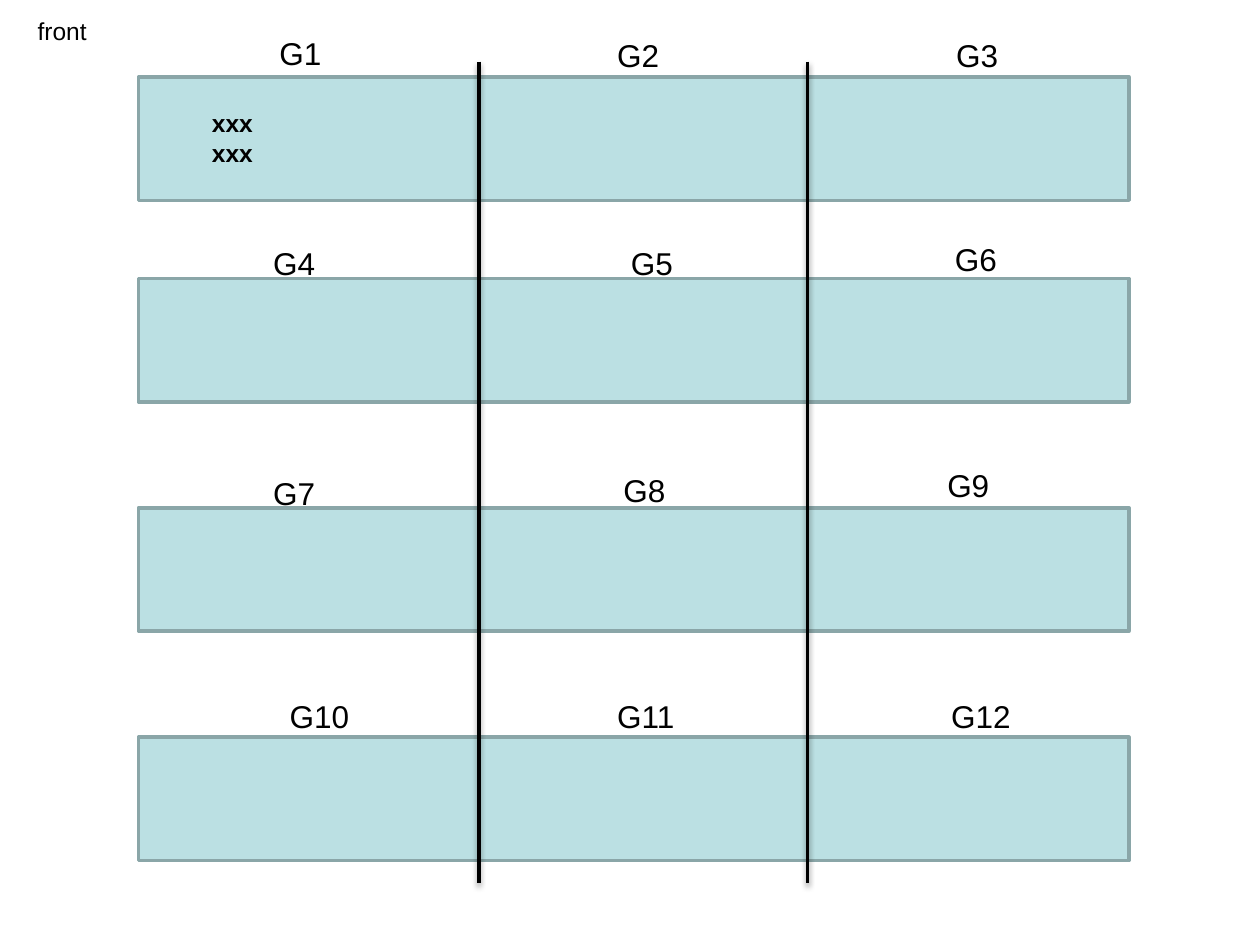
from lxml.etree import SubElement
from pptx import Presentation
from pptx.dml.color import RGBColor
from pptx.enum.shapes import MSO_CONNECTOR as Connector, MSO_SHAPE as Shape
from pptx.enum.text import MSO_AUTO_SIZE as AutoSize, PP_ALIGN as Align
from pptx.oxml.ns import qn
from pptx.util import Inches, Pt

COLORS = {"band": "BBE0E3", "border": "8AA6A8", "ink": "000000"}
BAND_LEFT, BAND_WIDTH, BAND_HEIGHT = 1.1, 7.86, 0.98
BANDS = [
    (0.61, [("G1", 1.02, -0.39), ("G2", 3.7, -0.37), ("G3", 6.39, -0.37)]),
    (2.21, [("G4", 0.97, -0.32), ("G5", 3.81, -0.32), ("G6", 6.38, -0.35)]),
    (4.03, [("G7", 0.97, -0.32), ("G8", 3.75, -0.34), ("G9", 6.32, -0.38)]),
    (5.85, [("G10", 1.1, -0.37), ("G11", 3.7, -0.37), ("G12", 6.35, -0.37)]),
]
LABEL_WIDTHS = {"G10": 0.68, "G11": 0.66, "G12": 0.68}
DIVIDERS = [3.8, 6.41]
DIVIDER_TOP, DIVIDER_BOTTOM = 0.49, 7.01


def color(name):
    """Return the named colour."""
    return RGBColor.from_string(COLORS[name])


def add_text(slide, lines, box, size, bold=False, align=Align.LEFT):
    """Place lines of text in a box that does not wrap."""
    shape = slide.shapes.add_textbox(*map(Inches, box))
    frame = shape.text_frame
    frame.word_wrap = False
    frame.auto_size = AutoSize.SHAPE_TO_FIT_TEXT
    for index, line in enumerate(lines):
        paragraph = frame.add_paragraph() if index else frame.paragraphs[0]
        paragraph.alignment = align
        run = paragraph.add_run()
        run.text = line
        run.font.name = "Arial"
        run.font.size = Pt(size)
        run.font.bold = bold
        run.font.color.rgb = color("ink")


def add_band(slide, left, top, width, height):
    """Draw one bordered band."""
    band = slide.shapes.add_shape(Shape.RECTANGLE, *map(Inches, (left, top, width, height)))
    band.shadow.inherit = False
    band.fill.solid()
    band.fill.fore_color.rgb = color("band")
    band.line.color.rgb = color("border")
    band.line.width = Pt(2)


def add_band_labels(slide, left, top, labels):
    """Place group labels relative to the corner of their band."""
    for name, across, down in labels:
        box = (left + across, top + down, LABEL_WIDTHS.get(name, 0.54), 0.4)
        add_text(slide, [name], box, 18)


def add_divider(slide, left, top, bottom):
    """Draw a vertical divider with a soft shadow below it."""
    line = slide.shapes.add_connector(Connector.STRAIGHT, *map(Inches, (left, top, left, bottom)))
    line.line.color.rgb = color("ink")
    line.line.width = Pt(2)
    effects = SubElement(line._element.spPr, qn("a:effectLst"))
    shadow = SubElement(effects, qn("a:outerShdw"), blurRad=str(Pt(3.1)),
                        dist=str(Pt(1.6)), dir="5400000", rotWithShape="0")
    ink = SubElement(shadow, qn("a:srgbClr"), val=COLORS["ink"])
    SubElement(ink, qn("a:alpha"), val="38000")


def build_seating_slide(presentation):
    """Build the plan of four bands split into twelve groups."""
    slide = presentation.slides.add_slide(presentation.slide_layouts[6])
    for top, _ in BANDS:
        add_band(slide, BAND_LEFT, top, BAND_WIDTH, BAND_HEIGHT)
    add_text(slide, ["xxx", "xxx"], (BAND_LEFT + 0.48, BANDS[0][0] + 0.2, 0.53, 0.57),
             14, bold=True, align=Align.CENTER)
    for left in DIVIDERS:
        add_divider(slide, left, DIVIDER_TOP, DIVIDER_BOTTOM)
    for top, labels in BANDS:
        add_band_labels(slide, BAND_LEFT, top, labels)
    add_text(slide, ["front"], (0.2, 0.08, 0.59, 0.34), 14)


presentation = Presentation()
presentation.slide_width, presentation.slide_height = Inches(10), Inches(7.5)
build_seating_slide(presentation)
presentation.save("out.pptx")
